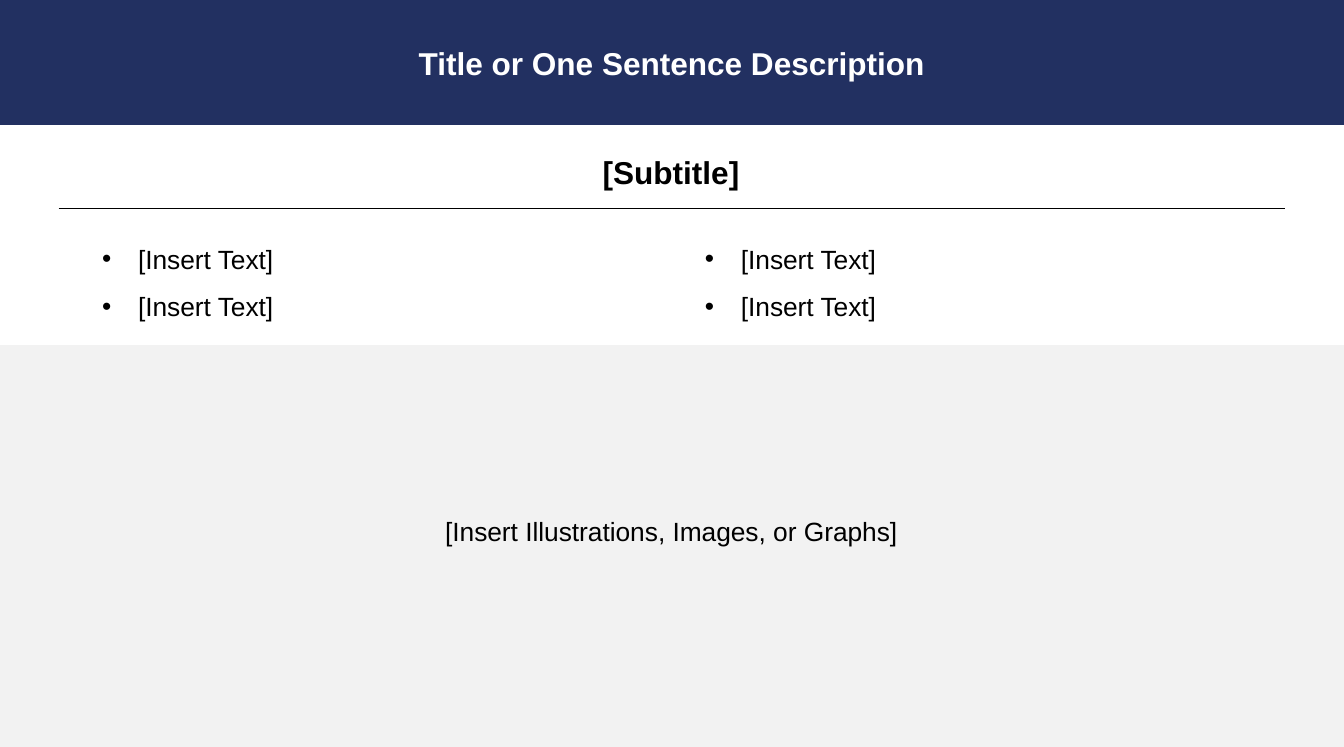
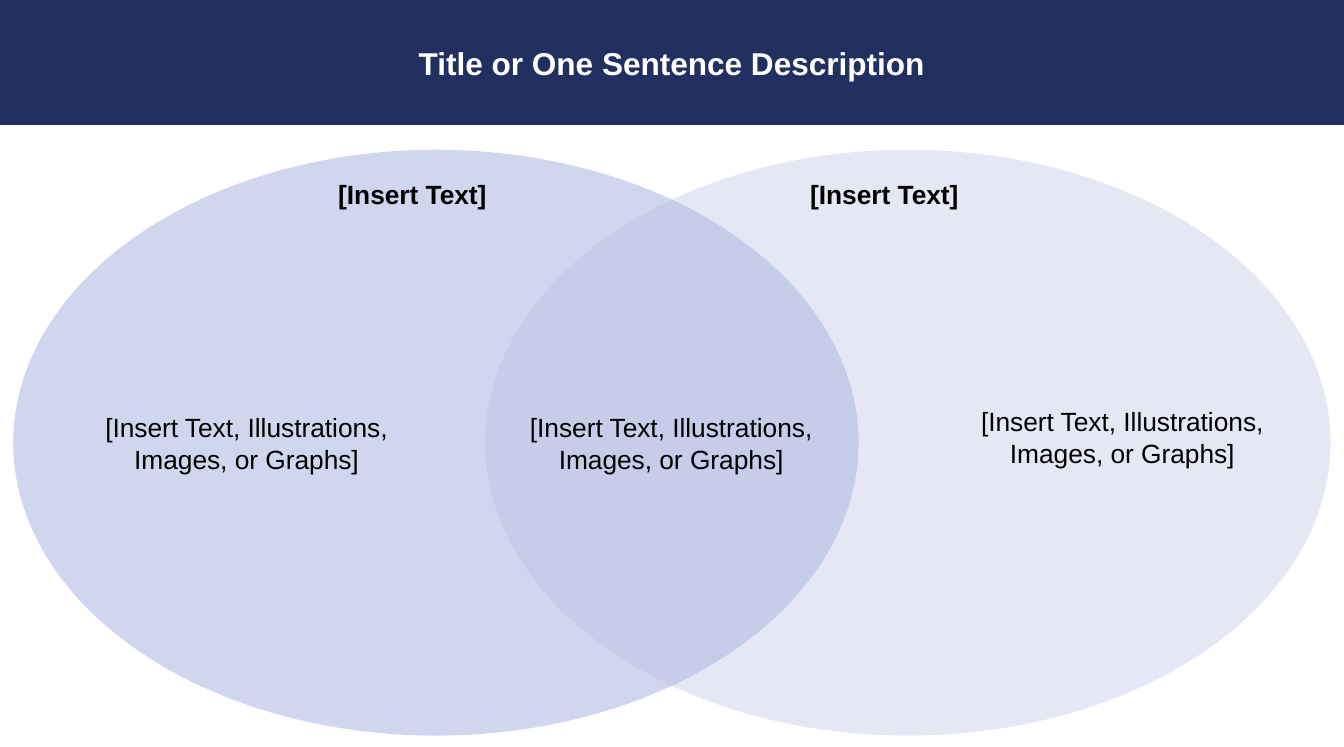
from lxml import etree
from pptx import Presentation
from pptx.dml.color import RGBColor
from pptx.enum.shapes import MSO_CONNECTOR, MSO_SHAPE
from pptx.enum.text import MSO_ANCHOR, MSO_AUTO_SIZE, PP_ALIGN
from pptx.oxml.ns import qn
from pptx.util import Inches, Pt

RECT, OVAL = MSO_SHAPE.RECTANGLE, MSO_SHAPE.OVAL
LINE = MSO_CONNECTOR.STRAIGHT
MIDDLE = MSO_ANCHOR.MIDDLE
GROW = MSO_AUTO_SIZE.SHAPE_TO_FIT_TEXT
LEFT, CENTER = PP_ALIGN.LEFT, PP_ALIGN.CENTER

WIDTH, HEIGHT = 7.09, 3.94
FONT = "Arial"
NAVY, GRAY, BLACK, WHITE = "223061", "F2F2F2", "000000", "FFFFFF"
PALE, BLUE = "D5D9EE", "B2BCE2"
TITLE = "Title or One Sentence Description"
INSERT = "[Insert Text]"
MEDIA = "[Insert Text, Illustrations, Images, or Graphs]"

rgb = RGBColor.from_string


def block(slide, kind, box, color):
    shape = slide.shapes.add_shape(kind, *map(Inches, box))
    shape.shadow.inherit = False
    shape.fill.solid()
    shape.fill.fore_color.rgb = rgb(color)
    shape.line.fill.background()
    return shape


def label(slide, box, text, size=10, bold=False, color=BLACK, align=CENTER):
    shape = slide.shapes.add_textbox(*map(Inches, box)) if box else slide
    frame = shape.text_frame
    frame.word_wrap = True
    if box:
        frame.auto_size = GROW
    frame.text = text
    for para in frame.paragraphs:
        para.alignment = align
        para.font.name = FONT
        para.font.size = Pt(size)
        para.font.bold = bold
        para.font.color.rgb = rgb(color)
    return frame


deck = Presentation()
deck.slide_width, deck.slide_height = Inches(WIDTH), Inches(HEIGHT)
blank = deck.slide_layouts[6]
columns, venn = [deck.slides.add_slide(blank) for _ in range(2)]

block(columns, RECT, (0, 1.82, WIDTH, 2.12), GRAY)
label(columns, (1.85, 2.67, 3.38, 0.27), "[Insert Illustrations, Images, or Graphs]")
label(columns, (2.48, 0.76, 2.12, 0.3), "[Subtitle]", 12, True)

rule = columns.shapes.add_connector(LINE, *map(Inches, (0.31, 1.1, 6.78, 1.1)))
rule.line.color.rgb = rgb(BLACK)
rule.line.width = Pt(0.5)
etree.SubElement(rule._element.spPr, qn("a:effectLst"))

for left in (0.44, 3.62):
    frame = label(columns, (left, 1.15, 3.02, 0.57), f"{INSERT}\n{INSERT}", align=LEFT)
    for para in frame.paragraphs:
        para.line_spacing = 1.5
        props = para._p.get_or_add_pPr()
        props.set("marL", str(Inches(0.19)))
        props.set("indent", str(-Inches(0.19)))
        font = etree.Element(qn("a:buFont"), typeface=FONT)
        mark = etree.Element(qn("a:buChar"), char="•")
        props.find(qn("a:lnSpc")).addnext(font)
        font.addnext(mark)

for left, color in ((2.56, PALE), (0.07, BLUE)):
    oval = block(venn, OVAL, (left, 0.79, 4.46, 3.09), color)
    tint = oval._element.spPr.find(f"{qn('a:solidFill')}/{qn('a:srgbClr')}")
    etree.SubElement(tint, qn("a:alpha"), val="60000")

for left in (1.32, 3.81):
    label(venn, (left, 0.89, 1.71, 0.27), INSERT, bold=True)

for left, top in ((5, 2.09), (0.38, 2.12), (2.62, 2.12)):
    label(venn, (left, top, 1.84, 0.44), MEDIA)

for slide in (columns, venn):
    band = block(slide, RECT, (0, 0, WIDTH, 0.66), NAVY)
    label(band, None, TITLE, 12, True, WHITE).vertical_anchor = MIDDLE

deck.save("out.pptx")
